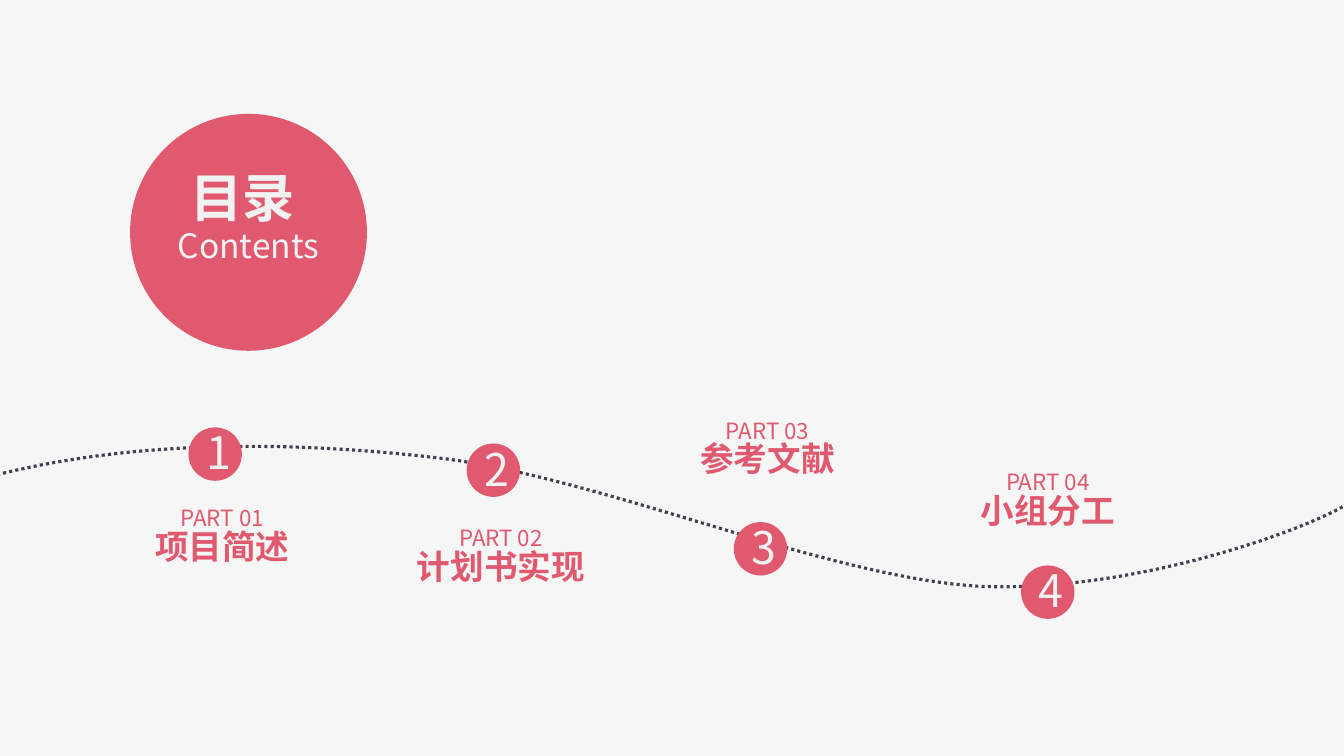
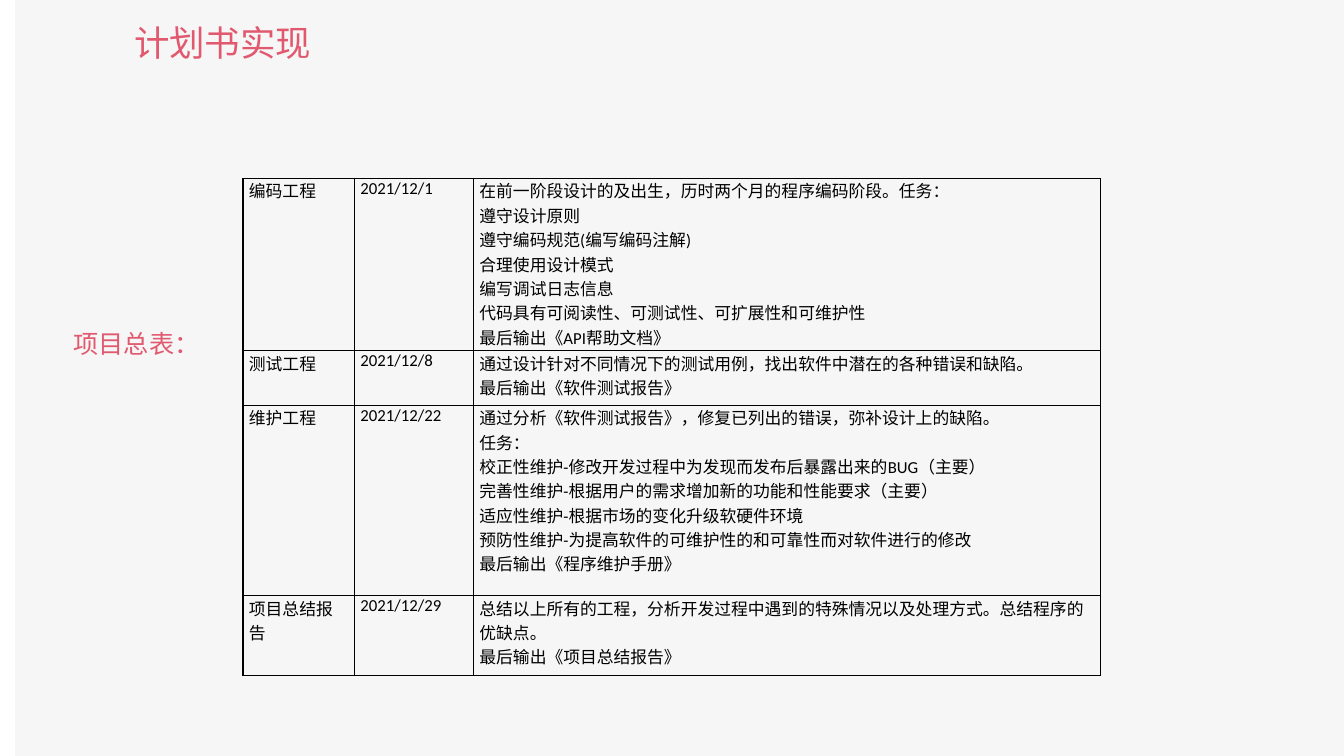
from dataclasses import dataclass

from lxml import etree
from pptx import Presentation
from pptx.dml.color import RGBColor
from pptx.enum.dml import MSO_LINE
from pptx.enum.shapes import MSO_SHAPE
from pptx.enum.text import MSO_ANCHOR, PP_ALIGN
from pptx.oxml.ns import qn
from pptx.util import Inches, Pt

# Grid of 80 columns by 45 rows; every cell is a square
SLIDE_WIDTH, SLIDE_HEIGHT = Inches(13.333), Inches(7.5)
COLUMNS, ROWS = 80, 45


@dataclass(frozen=True)
class Theme:
    backdrop: str = "F6F6F6"
    accent: str = "E1596F"
    light: str = "F2F2F2"
    curve: str = "3F404B"
    ink: str = "000000"
    font: str = "Noto Sans CJK SC"
    table_font: str = "Calibri"
    contents_size: float = 37.3
    title_size: float = 25.3
    number_size: float = 32
    heading_size: float = 24
    subtitle_size: float = 18
    part_size: float = 16
    table_size: float = 12


THEME = Theme()

# Number centre (column, row), label centre column, label top row, heading
PARTS = [
    (12.81, 27.03, 13.23, 29.52, "项目简述"),
    (29.37, 27.99, 29.82, 30.72, "计划书实现"),
    (45.27, 32.67, 45.69, 24.3, "参考文献"),
    (62.37, 35.25, 62.37, 27.36, "小组分工"),
]

# Start point, then two control points and an end point per segment
CURVE = [
    (-0.18, 28.26),
    (7.26, 26.4), (16.08, 26.1), (25.92, 27.24),
    (35.7, 28.32), (49.68, 34.62), (58.8, 34.92),
    (67.98, 35.16), (77.88, 31.44), (80.1, 30.06),
]

PLAN_COLUMNS = [6.64, 7.08, 37.32]
PLAN = [
    (10.26, "编码工程", "2021/12/1", [
        "在前一阶段设计的及出生，历时两个月的程序编码阶段。任务：",
        "遵守设计原则",
        "遵守编码规范(编写编码注解)",
        "合理使用设计模式",
        "编写调试日志信息",
        "代码具有可阅读性、可测试性、可扩展性和可维护性",
        "最后输出《API帮助文档》",
    ]),
    (3.24, "测试工程", "2021/12/8", [
        "通过设计针对不同情况下的测试用例，找出软件中潜在的各种错误和缺陷。",
        "最后输出《软件测试报告》",
    ]),
    (11.34, "维护工程", "2021/12/22", [
        "通过分析《软件测试报告》，修复已列出的错误，弥补设计上的缺陷。",
        "任务：",
        "校正性维护-修改开发过程中为发现而发布后暴露出来的BUG（主要）",
        "完善性维护-根据用户的需求增加新的功能和性能要求（主要）",
        "适应性维护-根据市场的变化升级软硬件环境",
        "预防性维护-为提高软件的可维护性的和可靠性而对软件进行的修改",
        "最后输出《程序维护手册》",
    ]),
    (4.74, "项目总结报告", "2021/12/29", [
        "总结以上所有的工程，分析开发过程中遇到的特殊情况以及处理方式。总结程序的优缺点。",
        "最后输出《项目总结报告》",
    ]),
]


def across(columns):
    return round(SLIDE_WIDTH * columns / COLUMNS)


def down(rows):
    return round(SLIDE_HEIGHT * rows / ROWS)


def area(left, top, width, height):
    return across(left), down(top), across(width), down(height)


def color(value):
    return RGBColor.from_string(value)


# Text
def style(paragraph, size, ink, bold=False, align=None, spacing=None, font=THEME.font):
    paragraph.alignment = align
    paragraph.line_spacing = spacing
    paragraph.font.name = font
    paragraph.font.size = Pt(size)
    paragraph.font.bold = bold
    paragraph.font.color.rgb = color(ink)
    properties = paragraph.font._element
    latin = properties.find(qn("a:latin"))
    east_asian = etree.Element(qn("a:ea"), typeface=THEME.font)
    latin.addnext(east_asian)


def set_margins(holder, horizontal, top, bottom):
    holder.margin_left = holder.margin_right = Inches(horizontal)
    holder.margin_top, holder.margin_bottom = Inches(top), Inches(bottom)


def write_lines(frame, lines):
    """Fill a frame; each line is its text and its style."""
    for index, (text, look) in enumerate(lines):
        paragraph = frame.paragraphs[0] if index == 0 else frame.add_paragraph()
        paragraph.text = text
        style(paragraph, **look)


def add_text(slide, box, lines, wrap=True, margins=(0.1, 0.05, 0.05)):
    frame = slide.shapes.add_textbox(*area(*box)).text_frame
    frame.word_wrap = wrap
    set_margins(frame, *margins)
    write_lines(frame, lines)


def add_heading(slide, box, text, size):
    look = dict(size=size, ink=THEME.accent)
    add_text(slide, box, [(text, look)], margins=(0.09, 0, 0))


# Shapes
def add_filled(slide, preset, box, fill):
    shape = slide.shapes.add_shape(preset, *area(*box))
    shape.shadow.inherit = False
    shape.fill.solid()
    shape.fill.fore_color.rgb = color(fill)
    shape.line.fill.background()
    return shape


def add_disc(slide, center, middle, diameter):
    box = (center - diameter / 2, middle - diameter / 2, diameter, diameter)
    return add_filled(slide, MSO_SHAPE.OVAL, box, THEME.accent)


def curve_points(points, steps=40):
    """Sample a chain of cubic Bézier segments."""
    yield points[0]
    for first in range(0, len(points) - 1, 3):
        segment = points[first:first + 4]
        for step in range(1, steps + 1):
            t = step / steps
            weights = ((1 - t) ** 3, 3 * t * (1 - t) ** 2, 3 * t * t * (1 - t), t ** 3)
            yield tuple(sum(w * p[axis] for w, p in zip(weights, segment)) for axis in (0, 1))


def add_dotted_curve(slide, points):
    start, *others = [(across(x), down(y)) for x, y in curve_points(points)]
    builder = slide.shapes.build_freeform(*start)
    builder.add_line_segments(others, close=False)
    shape = builder.convert_to_shape()
    shape.shadow.inherit = False
    shape.fill.background()
    shape.line.color.rgb = color(THEME.curve)
    shape.line.width = Pt(2.25)
    shape.line.dash_style = MSO_LINE.ROUND_DOT


def add_part(slide, number, center, middle, label_center, label_top, heading):
    disc = add_disc(slide, center, middle, 3.18)
    frame = disc.text_frame
    frame.vertical_anchor = MSO_ANCHOR.MIDDLE
    set_margins(frame, 0.1, 0.05, 0.09)
    write_lines(frame, [
        (str(number), dict(size=THEME.number_size, ink=THEME.light, align=PP_ALIGN.CENTER)),
    ])
    label = dict(ink=THEME.accent, align=PP_ALIGN.CENTER)
    add_text(slide, (label_center - 5.64, label_top, 11.28, 5.1), [
        (f"PART {number:02}", dict(label, size=THEME.part_size, spacing=1.13)),
        (heading, dict(label, size=THEME.heading_size, bold=True, spacing=0.87)),
    ], wrap=False)


# Table
def add_borders(cell):
    properties = cell._tc.get_or_add_tcPr()
    for index, side in enumerate(("lnL", "lnR", "lnT", "lnB")):
        line = etree.Element(qn(f"a:{side}"), w=str(Pt(1)))
        fill = etree.SubElement(line, qn("a:solidFill"))
        etree.SubElement(fill, qn("a:srgbClr"), val=THEME.ink)
        properties.insert(index, line)


def add_plan(slide, left, top):
    heights = [row[0] for row in PLAN]
    box = area(left, top, sum(PLAN_COLUMNS), sum(heights))
    table = slide.shapes.add_table(len(PLAN), len(PLAN_COLUMNS), *box).table
    table.first_row = table.horz_banding = False
    for column, width in zip(table.columns, PLAN_COLUMNS):
        column.width = across(width)
    look = dict(size=THEME.table_size, ink=THEME.ink, font=THEME.table_font)
    for row, (height, stage, date, tasks) in zip(table.rows, PLAN):
        row.height = down(height)
        for cell, texts in zip(row.cells, ([stage], [date], tasks)):
            cell.fill.background()
            set_margins(cell, 0.06, 0, 0)
            write_lines(cell.text_frame, [(text, look) for text in texts])
            add_borders(cell)


# Slides
def add_slide(presentation, backdrop_left=0):
    slide = presentation.slides.add_slide(presentation.slide_layouts[6])
    box = (backdrop_left, 0, COLUMNS - backdrop_left, ROWS)
    add_filled(slide, MSO_SHAPE.RECTANGLE, box, THEME.backdrop)
    return slide


def add_contents_slide(presentation):
    slide = add_slide(presentation)
    add_disc(slide, 14.79, 13.83, 14.1)
    title = dict(ink=THEME.light, align=PP_ALIGN.CENTER)
    add_text(slide, (5.46, 9.3, 18.66, 8.04), [
        ("目录 ", dict(title, size=THEME.contents_size, bold=True, spacing=1.07)),
        ("Contents", dict(title, size=THEME.heading_size, spacing=0.94)),
    ])
    add_dotted_curve(slide, CURVE)
    for number, part in enumerate(PARTS, 1):
        add_part(slide, number, *part)


def add_plan_slide(presentation):
    slide = add_slide(presentation, backdrop_left=0.9)
    add_heading(slide, (7.44, 1.26, 22.98, 3.18), "计划书实现", THEME.title_size)
    add_heading(slide, (3.84, 19.56, 13.62, 2.4), "项目总表：", THEME.subtitle_size)
    add_plan(slide, 14.46, 10.62)


def main():
    presentation = Presentation()
    presentation.slide_width, presentation.slide_height = SLIDE_WIDTH, SLIDE_HEIGHT
    add_contents_slide(presentation)
    add_plan_slide(presentation)
    presentation.save("out.pptx")


if __name__ == "__main__":
    main()
